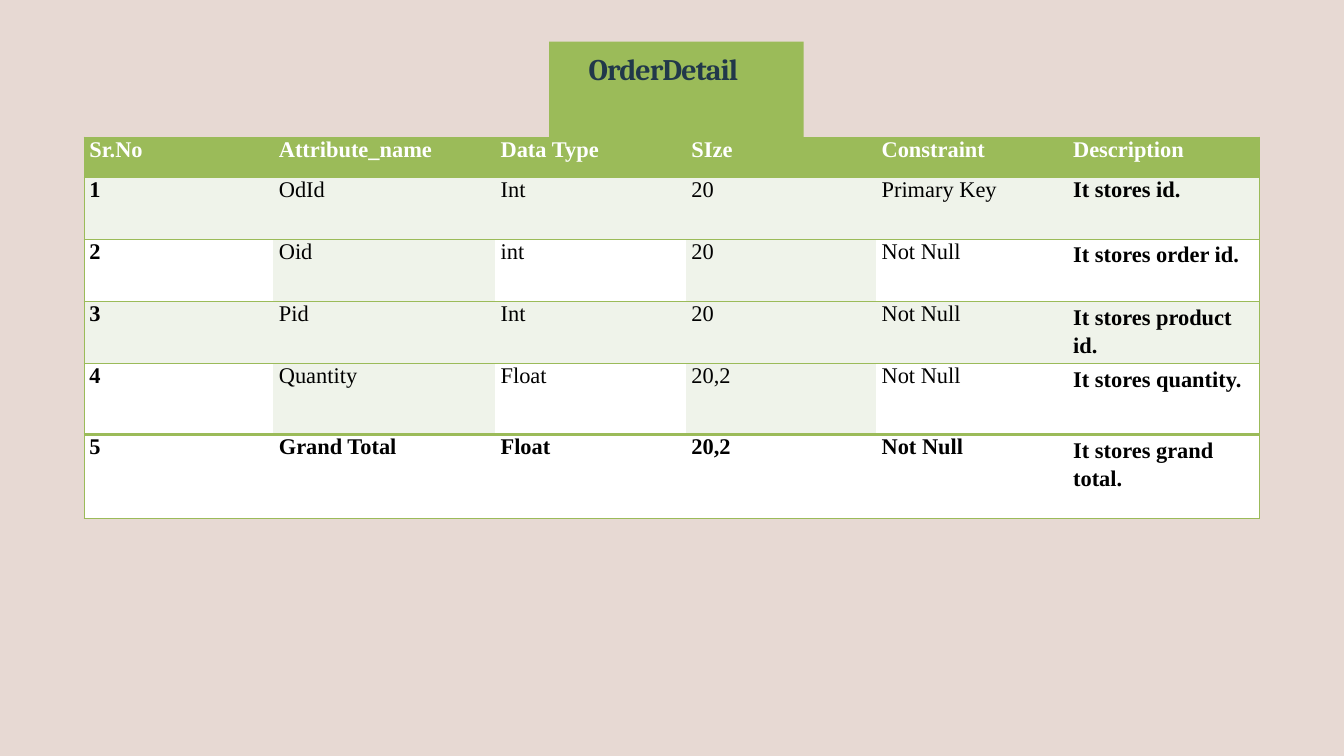
from pptx import Presentation
from pptx.dml.color import RGBColor
from pptx.enum.text import MSO_ANCHOR as Anchor, MSO_AUTO_SIZE as AutoSize, PP_ALIGN as Align
from pptx.oxml.ns import qn
from pptx.util import Inches, Pt
from lxml.etree import SubElement

GREEN, PALE, WHITE, BLACK = "9BBB59", "EFF3EA", "FFFFFF", "000000"
BACKDROP, NAVY = "E7D9D3", "21384A"

COLUMN_WIDTHS = [2.82, 3.3, 2.84, 2.83, 2.85, 2.85]
ROW_HEIGHTS = [0.6, 0.92, 0.93, 0.92, 1.06, 1.24]
ROWS = [
    ["Sr.No", "Attribute_name", "Data Type", "SIze", "Constraint", "Description"],
    ["1", "OdId", "Int", "20", "Primary Key", "It stores id."],
    ["2", "Oid", "int", "20", "Not Null", "It stores order id."],
    ["3", "Pid", "Int", "20", "Not Null", "It stores product id."],
    ["4", "Quantity", "Float", "20,2", "Not Null", "It stores quantity."],
    ["5", "Grand Total", "Float", "20,2", "Not Null", "It stores grand total."],
]
LAST_ROW, LAST_COLUMN = len(ROWS) - 1, len(COLUMN_WIDTHS) - 1


def paint(fill, color):
    fill.solid()
    fill.fore_color.rgb = RGBColor.from_string(color)


def add_span(para, text, font, size, color, bold):
    span = para.add_run()
    span.text = text
    span.font.name, span.font.size, span.font.bold = font, Pt(size), bold
    span.font.color.rgb = RGBColor.from_string(color)
    return span


def set_margins(target, left, top):
    target.margin_left, target.margin_top = Inches(left), Inches(top)
    target.margin_right = target.margin_bottom = 0


def add_border(cell, side, width):
    line = SubElement(cell._tc.get_or_add_tcPr(), qn(f"a:ln{side}"), w=str(Pt(width)))
    if width:
        fill = SubElement(line, qn("a:solidFill"))
        SubElement(fill, qn("a:srgbClr"), val=GREEN)
    else:
        SubElement(line, qn("a:noFill"))


def cell_color(row, column):
    if row == 0:
        return GREEN
    if row == LAST_ROW:
        return WHITE
    return PALE if row % 2 or column in (1, 3) else WHITE


def place_backdrop(page, left, top, width, height):
    right, bottom = Inches(left + width), Inches(top + height)
    left, top = Inches(left), Inches(top)
    builder = page.shapes.build_freeform(right, bottom)
    builder.add_line_segments([(left, bottom), (left, top), (right, top)])
    backdrop = builder.convert_to_shape()
    backdrop.shadow.inherit = False
    paint(backdrop.fill, BACKDROP)
    backdrop.line.fill.background()
    page.shapes.title._element.addprevious(backdrop._element)


def place_title(page, left, top, width, height):
    title = page.shapes.title
    title.left, title.top = Inches(left), Inches(top)
    title.width, title.height = Inches(width), Inches(height)
    paint(title.fill, GREEN)
    frame = title.text_frame
    frame.auto_size, frame.vertical_anchor = AutoSize.NONE, Anchor.TOP
    set_margins(frame, 0.59, 0.14)
    para = frame.paragraphs[0]
    para.alignment = Align.LEFT
    span = add_span(para, "OrderDetail", "Cambria", 32, NAVY, True)
    span.font._element.set("spc", "-100")


def format_cell(cell, row, column, text):
    set_margins(cell, 0.08, 0)
    add_border(cell, "L", 1 if column == 0 else 0)
    add_border(cell, "R", 1 if column == LAST_COLUMN else 0)
    add_border(cell, "T", 4 if row == LAST_ROW else 1)
    add_border(cell, "B", 4 if row == LAST_ROW - 1 else 1)
    paint(cell.fill, cell_color(row, column))
    para = cell.text_frame.paragraphs[0]
    if row > 1 and column == LAST_COLUMN:
        para.line_spacing = 1.15
    bold = row in (0, LAST_ROW) or column in (0, LAST_COLUMN)
    add_span(para, text, "Times New Roman", 24, BLACK if row else WHITE, bold)


def place_attributes(page, left, top):
    box = page.shapes.add_table(
        len(ROWS), len(COLUMN_WIDTHS), Inches(left), Inches(top),
        Inches(sum(COLUMN_WIDTHS)), Inches(sum(ROW_HEIGHTS)))
    table = box.table
    table.horz_banding = False
    for column, width in zip(table.columns, COLUMN_WIDTHS):
        column.width = Inches(width)
    for row, height in zip(table.rows, ROW_HEIGHTS):
        row.height = Inches(height)
    for row, texts in enumerate(ROWS):
        for column, text in enumerate(texts):
            format_cell(table.cell(row, column), row, column, text)


def main():
    deck = Presentation()
    deck.slide_width, deck.slide_height = Inches(20), Inches(11.25)
    page = deck.slides.add_slide(deck.slide_layouts[5])
    place_backdrop(page, 0, 0, 20, 11.25)
    place_title(page, 8.17, 0.62, 3.79, 1.42)
    place_attributes(page, 1.25, 2.04)
    deck.save("out.pptx")


if __name__ == "__main__":
    main()
